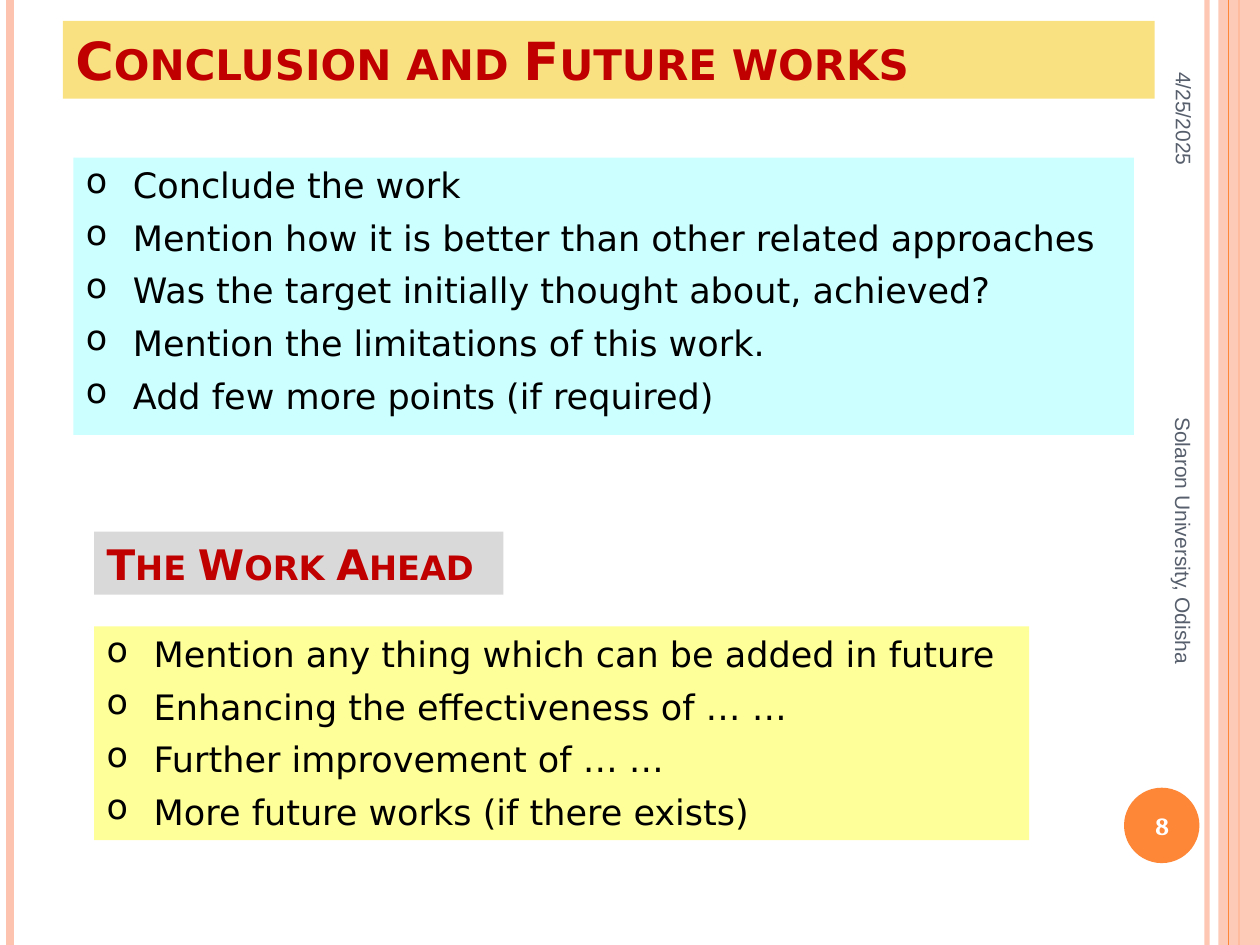
"""Build the slide on conclusion and future works."""
from dataclasses import dataclass

from lxml import etree
from pptx import Presentation
from pptx.dml.color import RGBColor
from pptx.enum.shapes import MSO_CONNECTOR, MSO_SHAPE
from pptx.enum.text import MSO_ANCHOR, PP_ALIGN
from pptx.oxml.ns import qn
from pptx.util import Cm, Pt

LINE = MSO_CONNECTOR.STRAIGHT
RECT, OVAL = MSO_SHAPE.RECTANGLE, MSO_SHAPE.OVAL
TOP, MID = MSO_ANCHOR.TOP, MSO_ANCHOR.MIDDLE
LEFT, MIDDLE, RIGHT = PP_ALIGN.LEFT, PP_ALIGN.CENTER, PP_ALIGN.RIGHT

PEACH = RGBColor(0xFE, 0xC3, 0xAE)
ORANGE = RGBColor(0xFE, 0x86, 0x37)
GOLD = RGBColor(0xF9, 0xE1, 0x81)
CYAN = RGBColor(0xCC, 0xFF, 0xFF)
GREY = RGBColor(0xD9, 0xD9, 0xD9)
YELLOW = RGBColor(0xFF, 0xFF, 0x99)
RED = RGBColor(0xC0, 0x00, 0x00)
SLATE = RGBColor(0x57, 0x5F, 0x6D)
BLACK = RGBColor(0, 0, 0)
WHITE = RGBColor(0xFF, 0xFF, 0xFF)

WIDE, HIGH = 25.4, 19.05
INDENT = Cm(0.95)


@dataclass
class Box:
    left: float
    top: float
    width: float
    height: float

    def place(self) -> tuple:
        return Cm(self.left), Cm(self.top), Cm(self.width), Cm(self.height)


@dataclass
class Style:
    size: float
    color: RGBColor
    font: str = "DejaVu Sans"
    bold: bool = False
    caps: bool = False
    align: PP_ALIGN = LEFT
    anchor: MSO_ANCHOR = MID


@dataclass
class Rule:
    x: float
    color: RGBColor
    width: float
    alpha: int = 100


@dataclass
class Panel:
    box: Box
    fill: RGBColor
    lines: list
    style: Style
    points: bool = False


@dataclass
class Label:
    box: Box
    text: str
    style: Style
    turn: int = 0


HEAD = Style(30, RED, bold=True, caps=True)
SUBHEAD = Style(24, RED, bold=True, caps=True)
BODY = Style(20, BLACK, anchor=TOP)
DATE = Style(12, SLATE, "Arial", align=RIGHT)
FOOT = Style(12, SLATE, "Arial", align=MIDDLE)
NUMBER = Style(14, WHITE, "Cambria", bold=True, align=MIDDLE)

RULES = [
    Rule(24.33, PEACH, 3, 93),
    Rule(0.21, PEACH, 4.5),
    Rule(24.98, ORANGE, 1.5),
    Rule(24.77, ORANGE, 0.75),
]
PANELS = [
    Panel(Box(1.27, 0.42, 22.01, 1.57), GOLD, ["Conclusion and Future works"], HEAD),
    Panel(Box(1.48, 3.18, 21.38, 5.59), CYAN, [
        "Conclude the work",
        "Mention how it is better than other related approaches",
        "Was the target initially thought about, achieved?",
        "Mention the limitations of this work.",
        "Add few more points (if required)",
    ], BODY, True),
    Panel(Box(1.9, 10.72, 8.25, 1.27), GREY, ["The Work Ahead"], SUBHEAD),
    Panel(Box(1.9, 12.63, 18.85, 4.31), YELLOW, [
        "Mention any thing which can be added in future",
        "Enhancing the effectiveness of … …",
        "Further improvement of … …",
        "More future works (if there exists)",
    ], BODY, True),
]
LABELS = [
    Label(Box(22.45, 1.63, 2.84, 1.07), "4/25/2025", DATE, 90),
    Label(Box(22.58, 15.93, 1.7, 1.45), "8", NUMBER),
    Label(Box(19.41, 10.39, 8.89, 1.02), "Solaron University, Odisha", FOOT, 90),
]


def fade(item, alpha: int) -> None:
    for tint in item._element.spPr.iter(qn("a:srgbClr")):
        etree.SubElement(tint, qn("a:alpha"), val=str(alpha * 1000))


def draw_rule(slide, rule: Rule) -> None:
    line = slide.shapes.add_connector(LINE, Cm(rule.x), 0, Cm(rule.x), Cm(HIGH))
    line.line.color.rgb = rule.color
    line.line.width = Pt(rule.width)
    if rule.alpha < 100:
        fade(line, rule.alpha)
    etree.SubElement(line._element.spPr, qn("a:effectLst"))


def draw_shape(slide, kind: MSO_SHAPE, box: Box, fill: RGBColor):
    shape = slide.shapes.add_shape(kind, *box.place())
    shape.shadow.inherit = False
    shape.fill.solid()
    shape.fill.fore_color.rgb = fill
    shape.line.fill.background()
    return shape


def add_bullet(para) -> None:
    para.space_after = Pt(6)
    para.line_spacing = Pt(24)
    props = para._p.get_or_add_pPr()
    props.set("marL", str(INDENT))
    props.set("indent", str(-INDENT))
    etree.SubElement(props, qn("a:buChar"), char="o")


def write(shape, lines: list, style: Style, points: bool = False) -> None:
    frame = shape.text_frame
    frame.word_wrap = True
    frame.vertical_anchor = style.anchor
    for index, text in enumerate(lines):
        para = frame.add_paragraph() if index else frame.paragraphs[0]
        para.alignment = style.align
        if points:
            add_bullet(para)
        run = para.add_run()
        run.text = text
        run.font.name = style.font
        run.font.size = Pt(style.size)
        run.font.bold = style.bold
        run.font.color.rgb = style.color
        if style.caps:
            run.font._element.set("cap", "small")


def draw_panel(slide, panel: Panel) -> None:
    shape = draw_shape(slide, RECT, panel.box, panel.fill)
    write(shape, panel.lines, panel.style, panel.points)


def draw_label(slide, label: Label) -> None:
    text = slide.shapes.add_textbox(*label.box.place())
    text.rotation = label.turn
    write(text, [label.text], label.style)


def main() -> None:
    deck = Presentation()
    deck.slide_width, deck.slide_height = Cm(WIDE), Cm(HIGH)
    slide = deck.slides.add_slide(deck.slide_layouts[6])
    for rule in RULES[:3]:
        draw_rule(slide, rule)
    fade(draw_shape(slide, RECT, Box(24.56, 0, 0.84, HIGH), PEACH), 87)
    draw_rule(slide, RULES[3])
    draw_shape(slide, OVAL, Box(22.66, 15.88, 1.52, 1.52), ORANGE)
    for panel in PANELS:
        draw_panel(slide, panel)
    for label in LABELS:
        draw_label(slide, label)
    deck.save("out.pptx")


if __name__ == "__main__":
    main()
